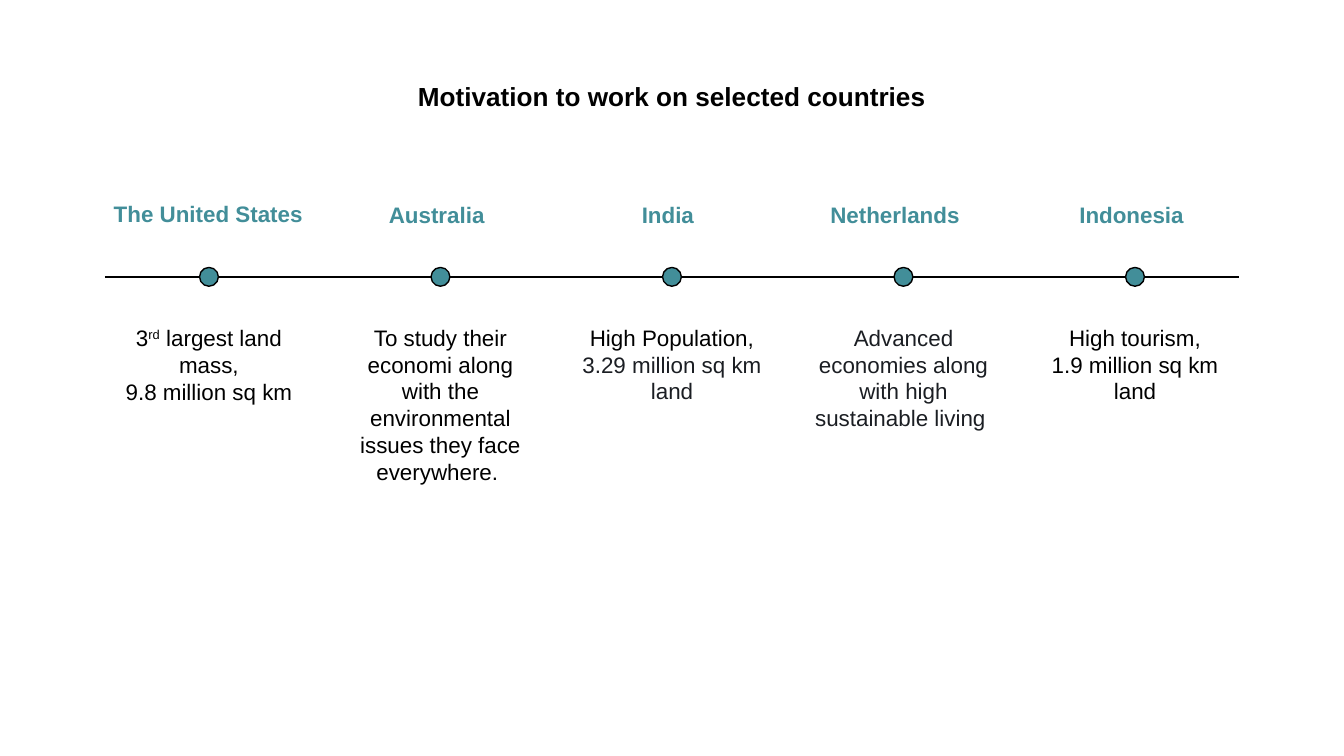
from pptx import Presentation
from pptx.dml.color import RGBColor
from pptx.enum.shapes import MSO_CONNECTOR, MSO_SHAPE
from pptx.enum.text import MSO_ANCHOR, PP_ALIGN
from pptx.util import Inches, Pt
from lxml import etree

CENTER = PP_ALIGN.CENTER
TOP, BOTTOM = MSO_ANCHOR.TOP, MSO_ANCHOR.BOTTOM
STRAIGHT, OVAL = MSO_CONNECTOR.STRAIGHT, MSO_SHAPE.OVAL
BLACK, CHARCOAL, TEAL = "000000", "1B1E23", "428E99"
DRAWING_NS = "http://schemas.openxmlformats.org/drawingml/2006/main"


def rgb(hex_color):
    return RGBColor.from_string(hex_color)


def add_text(box, paragraphs, size, bold=False, anchor=TOP):
    """Add centred text; each paragraph is a list of (text, colour, baseline)."""
    frame = slide.shapes.add_textbox(*map(Inches, box)).text_frame
    frame_format = {"word_wrap": True, "vertical_anchor": anchor}
    for side in ("left", "top", "right", "bottom"):
        frame_format[f"margin_{side}"] = Inches(0.1)
    for key, value in frame_format.items():
        setattr(frame, key, value)
    for index, pieces in enumerate(paragraphs):
        paragraph = frame.add_paragraph() if index else frame.paragraphs[0]
        paragraph.alignment = CENTER
        for text, color, baseline in pieces:
            run = paragraph.add_run()
            run.text = text
            font_format = {"name": "Arial", "size": Pt(size), "bold": bold}
            for key, value in font_format.items():
                setattr(run.font, key, value)
            run.font.color.rgb = rgb(color)
            if baseline:
                run._r.get_or_add_rPr().set("baseline", str(baseline * 1000))


# Name, name centre, name width, name top, reason height, reason paragraphs
countries = [
    ("The United States", 1.55, 2.06, 1.33, 0.98,
     [[("3", BLACK, 0), ("rd", BLACK, 30), (" largest land mass,", BLACK, 0)],
      [("9.8 million sq km", BLACK, 0)]]),
    ("Australia", 3.25, 1.6, 1.34, 0.8,
     [[("To study their economi along with the environmental issues "
        "they face everywhere. ", BLACK, 0)]]),
    ("India", 4.97, 1.6, 1.34, 1.26,
     [[("High Population,", BLACK, 0)],
      [("3.29 million sq km land", CHARCOAL, 0)]]),
    ("Netherlands", 6.66, 1.66, 1.34, 2.13,
     [[("Advanced economies along with high sustainable living ",
        CHARCOAL, 0)]]),
    ("Indonesia", 8.42, 1.6, 1.34, 0.8,
     [[("High tourism,", BLACK, 0)],
      [("1.9 million sq km land", BLACK, 0)]]),
]

margin, right_edge = 0.78, 9.22
reason_width = 1.55
pitch = (right_edge - margin - reason_width) / (len(countries) - 1)
timeline_y, dot_size = 2.06, 0.14

prs = Presentation()
prs.slide_width = Inches(10)
prs.slide_height = Inches(10 * 9 / 16)
slide = prs.slides.add_slide(prs.slide_layouts[6])

add_text((margin, 0.5, right_edge - margin, 0.6),
         [[("Motivation to work on selected countries", BLACK, 0)]], 14, bold=True)

timeline = slide.shapes.add_connector(
    STRAIGHT, Inches(margin), Inches(timeline_y),
    Inches(right_edge), Inches(timeline_y))
timeline.line.color.rgb = rgb(BLACK)
timeline.line.width = Pt(0.75)
etree.SubElement(timeline._element.spPr, f"{{{DRAWING_NS}}}effectLst")

for column, (name, name_center, name_width, name_top,
             reason_height, reason) in enumerate(countries):
    reason_left = margin + column * pitch
    add_text((name_center - name_width / 2, name_top, name_width, 0.46),
             [[(name, TEAL, 0)]], 12, bold=True, anchor=BOTTOM)
    add_text((reason_left, 2.31, reason_width, reason_height), reason, 12)

    dot_left = reason_left + (reason_width - dot_size) / 2
    dot = slide.shapes.add_shape(
        OVAL, Inches(dot_left), Inches(timeline_y - dot_size / 2),
        Inches(dot_size), Inches(dot_size))
    dot.shadow.inherit = False
    dot.fill.solid()
    dot.fill.fore_color.rgb = rgb(TEAL)
    dot.line.color.rgb = rgb(BLACK)
    dot.line.width = Pt(0.75)

prs.save("out.pptx")
